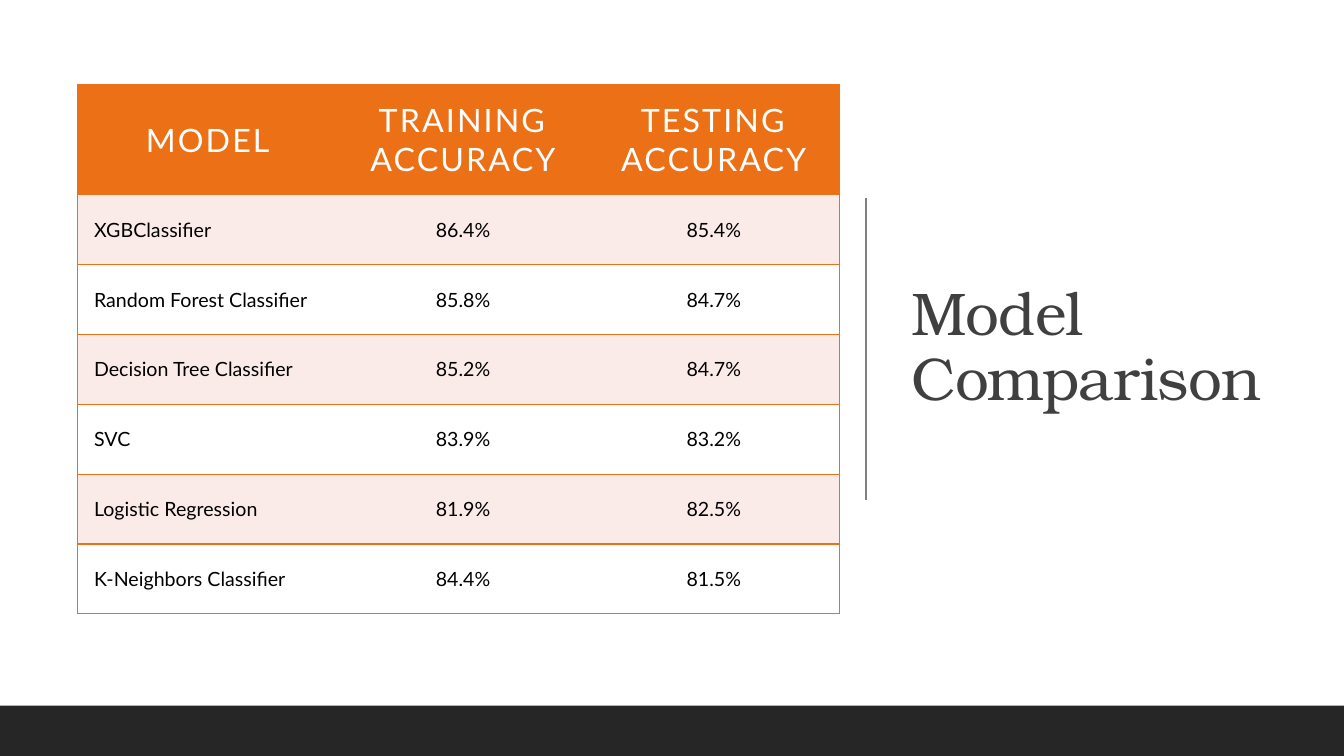
from pptx import Presentation
from pptx.dml.color import RGBColor
from pptx.enum.shapes import MSO_CONNECTOR, MSO_SHAPE
from pptx.enum.text import MSO_ANCHOR, MSO_AUTO_SIZE, PP_ALIGN
from pptx.oxml.ns import qn
from pptx.util import Cm, Pt
from lxml.etree import SubElement

ORANGE = RGBColor(0xEC, 0x70, 0x16)
BLUSH = RGBColor(0xFB, 0xEB, 0xE8)
WHITE = RGBColor(0xFF, 0xFF, 0xFF)
BLACK = RGBColor(0, 0, 0)
CHARCOAL = RGBColor(0x26, 0x26, 0x26)
TITLE_GRAY = RGBColor(0x40, 0x40, 0x40)
RULE_GRAY = RGBColor(0x80, 0x80, 0x80)

HEADER = ("MODEL", "TRAINING ACCURACY", "TESTING ACCURACY")
SCORES = (
    ("XGBClassifier", "86.4%", "85.4%"),
    ("Random Forest Classifier", "85.8%", "84.7%"),
    ("Decision Tree Classifier", "85.2%", "84.7%"),
    ("SVC", "83.9%", "83.2%"),
    ("Logistic Regression", "81.9%", "82.5%"),
    ("K-Neighbors Classifier", "84.4%", "81.5%"),
)


class SlideBuilder:
    """Hold the fonts and the current slide, and draw its elements."""

    heading_font = "TeX Gyre Bonum"
    body_font = "Lato"

    def __init__(self, slide):
        self.s = slide

    def style(self, p, name, size, color, align, spacing=0):
        p.alignment = align
        for r in p.runs:
            r.font.name = name
            r.font.size = Pt(size)
            r.font.bold = False
            r.font.color.rgb = color
            r._r.get_or_add_rPr().set("spc", str(int(spacing * 100)))

    def title(self, text, x, y, w, h):
        sp = self.s.shapes.title
        sp.left, sp.top, sp.width, sp.height = Cm(x), Cm(y), Cm(w), Cm(h)
        tf = sp.text_frame
        tf.text = text
        tf.word_wrap = True
        tf.auto_size = MSO_AUTO_SIZE.NONE
        tf.vertical_anchor = MSO_ANCHOR.MIDDLE
        p = tf.paragraphs[0]
        p.line_spacing = 0.9
        self.style(p, self.heading_font, 43, TITLE_GRAY, PP_ALIGN.LEFT, -0.5)

    def bar(self, x, y, w, h, color):
        sp = self.s.shapes.add_shape(MSO_SHAPE.RECTANGLE, Cm(x), Cm(y), Cm(w), Cm(h))
        sp.shadow.inherit = False
        sp.fill.solid()
        sp.fill.fore_color.rgb = color
        sp.line.fill.background()

    def rule(self, x1, y1, x2, y2, color):
        line = self.s.shapes.add_connector(
            MSO_CONNECTOR.STRAIGHT, Cm(x1), Cm(y1), Cm(x2), Cm(y2))
        line.line.color.rgb = color
        line.line.width = Pt(1)
        SubElement(line._element.spPr, qn("a:effectLst"))

    def borders(self, cell, visible):
        tcPr = cell._tc.get_or_add_tcPr()
        for side in "LRTB":
            ln = SubElement(tcPr, qn(f"a:ln{side}"), w=str(Pt(1)))
            if side in visible:
                fill = SubElement(ln, qn("a:solidFill"))
                SubElement(fill, qn("a:srgbClr"), val=str(ORANGE))
            else:
                SubElement(ln, qn("a:noFill"))

    def cell(self, cell, text, row, col, last_col):
        edges = {0: "LTB", last_col: "RTB"}
        self.borders(cell, edges.get(col, "TB"))
        cell.fill.solid()
        cell.vertical_anchor = MSO_ANCHOR.MIDDLE
        cell.margin_left = cell.margin_right = Cm(0.41)
        cell.margin_top = cell.margin_bottom = Cm(0.41)
        cell.text_frame.text = text
        p = cell.text_frame.paragraphs[0]
        if row == 0:
            cell.fill.fore_color.rgb = ORANGE
            self.style(p, self.body_font, 23, WHITE, PP_ALIGN.CENTER, 1.5)
        else:
            cell.fill.fore_color.rgb = BLUSH if row % 2 else WHITE
            align = PP_ALIGN.CENTER if col else PP_ALIGN.LEFT
            self.style(p, self.body_font, 14, BLACK, align)

    def table(self, rows, x, y, widths, heights):
        frame = self.s.shapes.add_table(
            len(rows), len(widths), Cm(x), Cm(y), Cm(sum(widths)), Cm(sum(heights)))
        table = frame.table
        table.first_row = table.horz_banding = False
        for column, width in zip(table.columns, widths):
            column.width = Cm(width)
        for i, (values, height) in enumerate(zip(rows, heights)):
            table.rows[i].height = Cm(height)
            for j, text in enumerate(values):
                self.cell(table.cell(i, j), text, i, j, len(widths) - 1)


def main():
    prs = Presentation()
    prs.slide_width, prs.slide_height = Cm(33.87), Cm(19.05)
    builder = SlideBuilder(prs.slides.add_slide(prs.slide_layouts[5]))
    builder.title("Model Comparison", 22.71, 1.75, 9.37, 14.05)
    builder.rule(21.82, 4.98, 21.82, 12.6, RULE_GRAY)
    builder.bar(0, 17.78, 33.87, 1.27, CHARCOAL)
    builder.table((HEADER, *SCORES), 1.96, 2.13, (6.55, 6.32, 6.32),
                  (2.77, *[1.76] * len(SCORES)))
    prs.save("out.pptx")


if __name__ == "__main__":
    main()
